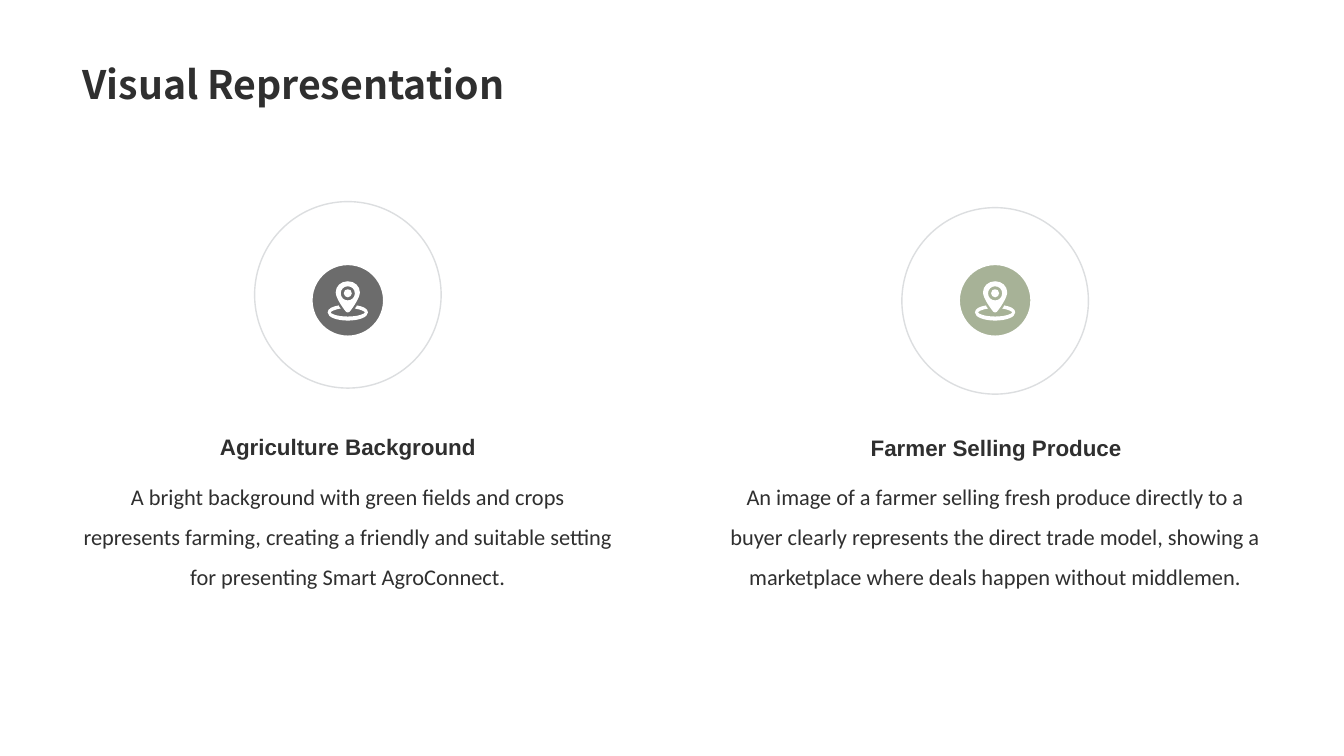
from dataclasses import dataclass

from lxml import etree
from pptx import Presentation
from pptx.dml.color import RGBColor
from pptx.enum.shapes import MSO_SHAPE as Shape
from pptx.enum.text import MSO_ANCHOR as Anchor, MSO_AUTO_SIZE as AutoSize, PP_ALIGN as Align
from pptx.oxml.ns import qn
from pptx.util import Inches, Pt


@dataclass(frozen=True)
class Theme:
    ink: str = "2F2F2F"
    sage: str = "82926B"
    paper: str = "FFFFFF"
    ring: str = "DCDEE0"
    title_font: str = "Noto Sans CJK SC"
    heading_font: str = "Arial"
    body_font: str = "Calibri"
    title_size: int = 28
    text_size: int = 16


THEME = Theme()
COLUMN_WIDTH = 5.46
RING_SIZE = 1.85
BADGE_SIZE = 0.74
BADGE_TOP = 2.61
ICON_MIDDLE = 3.0

# Right halves of the symmetric icon outlines, in hundredths of an inch from
# the icon centre: a start point, then three Bezier points for each curve
ORBIT = [(0, 18), (10, 18), (20, 15), (20, 10), (20, 6), (15, 4), (9, 3),
         (9, 4), (8, 5), (7, 6), (13, 7), (17, 9), (17, 10),
         (17, 11), (11, 14), (0, 14)]
DOT = [(0, -13), (2, -13), (4, -12), (4, -9), (4, -7), (2, -5), (0, -5)]
HOLE = [(0, -16), (4, -16), (7, -13), (7, -9), (7, -5), (4, -2), (0, -2)]
PIN = [(0, -21), (7, -21), (12, -16), (12, -10), (12, -5), (6, 4), (2, 9),
       (2, 9), (1, 10), (0, 10)]

# Heading, its left and top, body text, body left, ring top, badge colour
COLUMNS = [
    ("Agriculture Background", 0.72, 4.24,
     "A bright background with green fields and crops represents farming, "
     "creating a friendly and suitable setting for presenting Smart AgroConnect.",
     0.72, 2.0, THEME.ink),
    ("Farmer Selling Produce", 7.15, 4.25,
     "An image of a farmer selling fresh produce directly to a buyer clearly "
     "represents the direct trade model, showing a marketplace where deals "
     "happen without middlemen.",
     7.14, 2.06, THEME.sage),
]


def rgb(color):
    return RGBColor.from_string(color)


def add_text(slide, box, text, font, size, bold=False, align=Align.CENTER,
             anchor=Anchor.TOP, spacing=1.0, fit=AutoSize.SHAPE_TO_FIT_TEXT):
    frame = slide.shapes.add_textbox(*map(Inches, box)).text_frame
    frame.word_wrap = True
    frame.auto_size = fit
    frame.vertical_anchor = anchor
    paragraph = frame.paragraphs[0]
    paragraph.alignment = align
    paragraph.line_spacing = spacing
    run = paragraph.add_run()
    run.text = text
    run.font.name = font
    run.font.size = Pt(size)
    run.font.bold = bold
    run.font.color.rgb = rgb(THEME.ink)


def add_circle(slide, center, top, size, fill, line, line_width, opacity=100):
    circle = slide.shapes.add_shape(
        Shape.OVAL, Inches(center - size / 2), Inches(top), Inches(size), Inches(size))
    circle.shadow.inherit = False
    circle.fill.solid()
    circle.fill.fore_color.rgb = rgb(fill)
    circle.line.color.rgb = rgb(line)
    circle.line.width = Pt(line_width)
    if opacity < 100:
        fill_color = circle.element.spPr.find(f"{qn('a:solidFill')}/{qn('a:srgbClr')}")
        etree.SubElement(fill_color, qn("a:alpha")).set("val", str(opacity * 1000))


def mirror_outline(half, center):
    """Complete a right half with its mirror image and place it on the slide."""
    left = [(-x, y) for x, y in reversed(half[:-1])]
    return [(Inches(center + x / 100), Inches(ICON_MIDDLE + y / 100))
            for x, y in half + left]


def bend_segments(shape):
    """Turn every three straight segments into one cubic curve."""
    segments = list(shape.element.spPr.iter(qn("a:lnTo")))
    for i in range(0, len(segments), 3):
        curve = etree.Element(qn("a:cubicBezTo"))
        segments[i].addprevious(curve)
        for segment in segments[i:i + 3]:
            curve.append(segment[0])
            segment.getparent().remove(segment)


def add_location_icon(slide, center):
    orbit, *pin_parts = [mirror_outline(half, center) for half in (ORBIT, DOT, HOLE, PIN)]
    builder = slide.shapes.build_freeform(*orbit[0], scale=1.0)
    builder.add_line_segments(orbit[1:], close=True)
    for outline in pin_parts:
        builder.move_to(*outline[0])
        builder.add_line_segments(outline[1:], close=True)
    icon = builder.convert_to_shape()
    bend_segments(icon)
    icon.shadow.inherit = False
    icon.fill.solid()
    icon.fill.fore_color.rgb = rgb(THEME.paper)
    icon.line.fill.background()


def add_column(slide, heading, left, heading_top, body, body_left, ring_top, badge_color):
    center = body_left + COLUMN_WIDTH / 2
    # Ringed badge
    add_circle(slide, center, ring_top, RING_SIZE, THEME.paper, THEME.ring, 1)
    add_circle(slide, center, BADGE_TOP, BADGE_SIZE, badge_color, THEME.paper, 3, opacity=70)
    add_location_icon(slide, center)
    # Description and heading
    add_text(slide, (body_left, 4.61, COLUMN_WIDTH, 1.27), body,
             THEME.body_font, THEME.text_size, spacing=1.5)
    add_text(slide, (left, heading_top, COLUMN_WIDTH, 0.37), heading,
             THEME.heading_font, THEME.text_size, bold=True, anchor=Anchor.BOTTOM)


def main():
    deck = Presentation()
    deck.slide_width, deck.slide_height = Inches(13.33), Inches(7.5)
    slide = deck.slides.add_slide(deck.slide_layouts[6])
    # Title
    add_text(slide, (0.72, 0, 11.88, 1.12), "Visual Representation",
             THEME.title_font, THEME.title_size, bold=True, align=Align.LEFT,
             anchor=Anchor.BOTTOM, spacing=0.9, fit=AutoSize.NONE)
    # Two columns
    for column in COLUMNS:
        add_column(slide, *column)
    deck.save("out.pptx")


if __name__ == "__main__":
    main()
